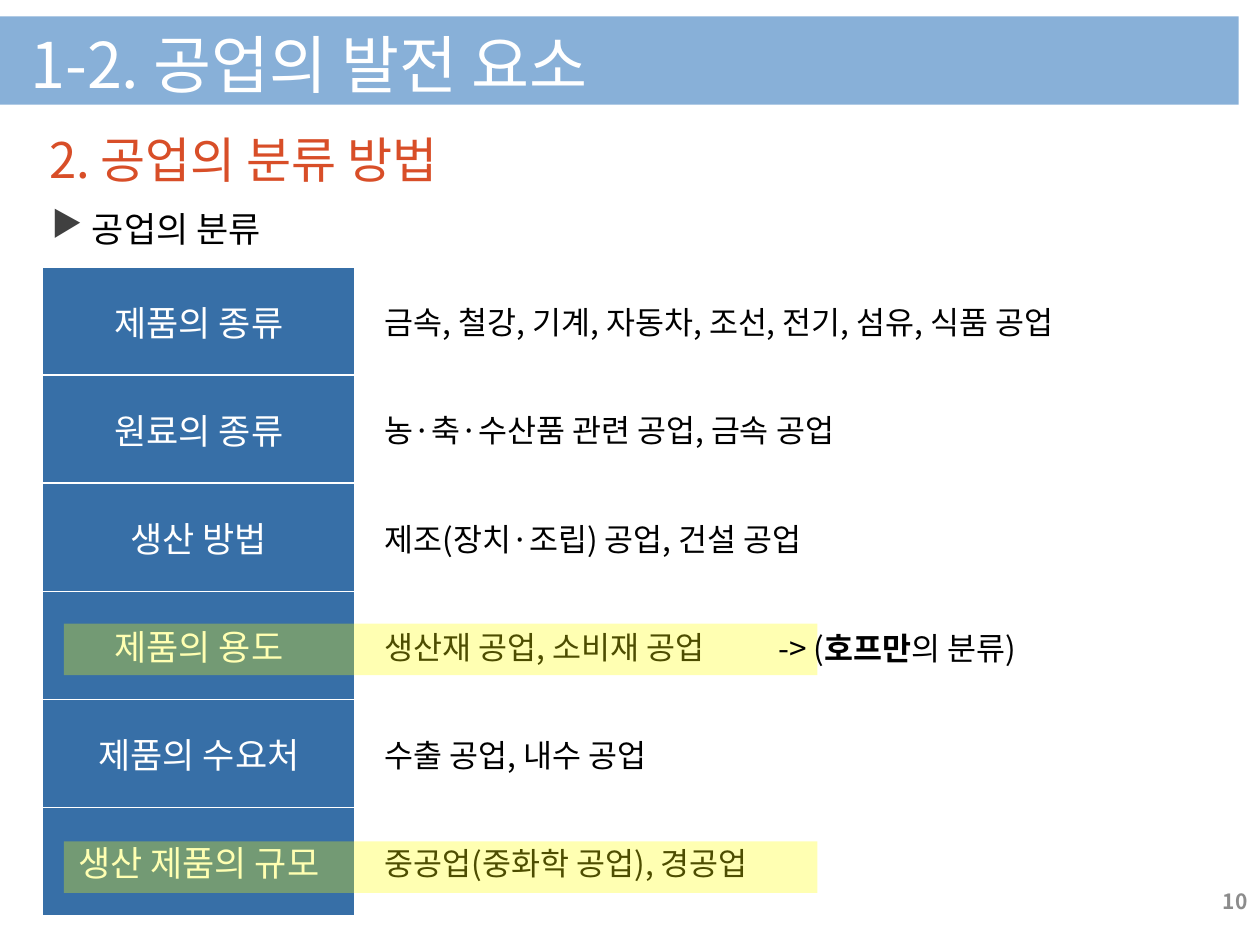
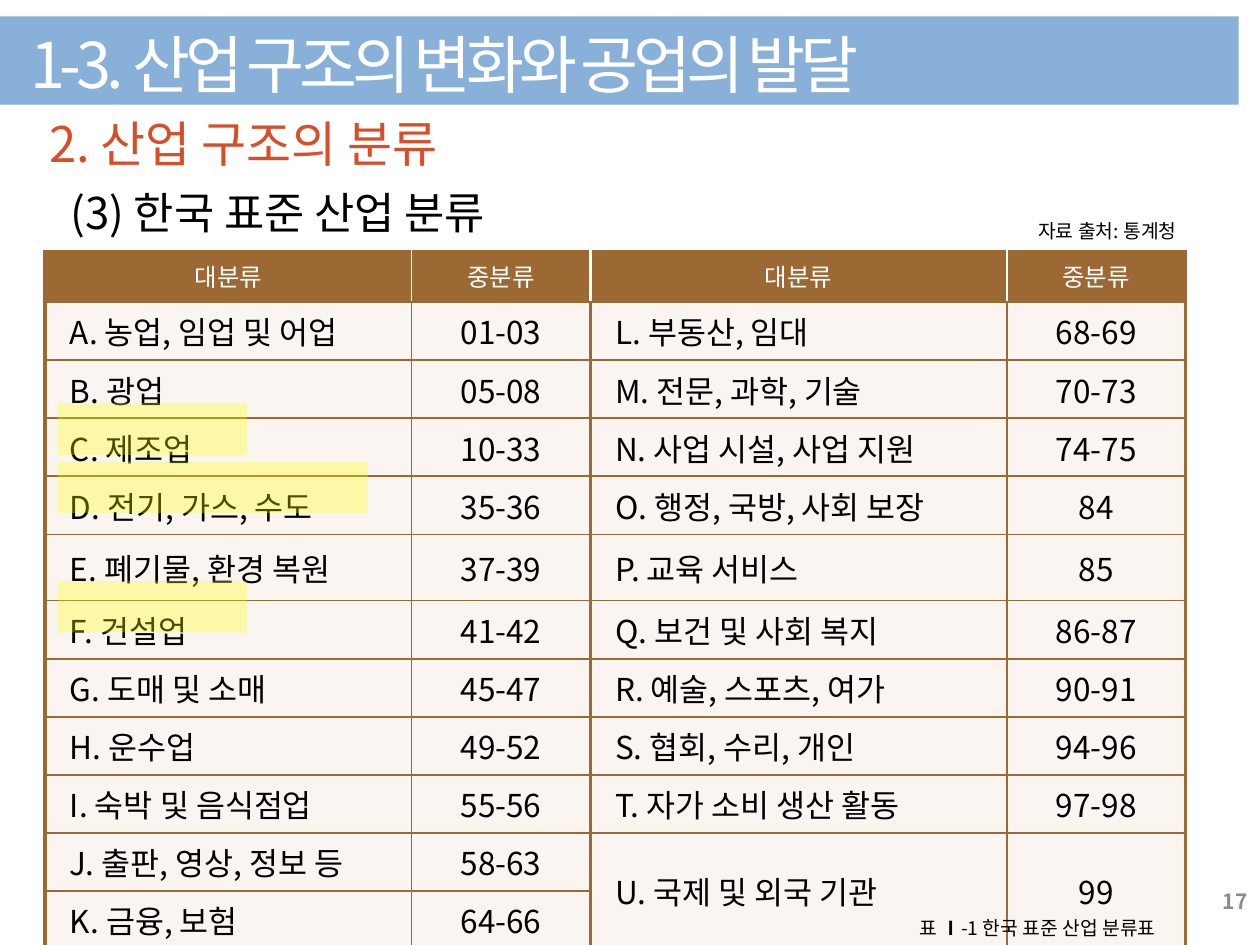
import pptx
import pptx.dml.color
import pptx.enum.shapes
import pptx.enum.text
import pptx.oxml.ns
import pptx.util
from lxml import etree

Cm = pptx.util.Cm
Pt = pptx.util.Pt
RGBColor = pptx.dml.color.RGBColor
ALIGN = pptx.enum.text.PP_ALIGN
ANCHOR = pptx.enum.text.MSO_ANCHOR
qn = pptx.oxml.ns.qn

FONT = "Noto Sans CJK KR"
WHITE = RGBColor(0xFF, 0xFF, 0xFF)
BLACK = RGBColor(0, 0, 0)
BAND_BLUE = RGBColor(0x88, 0xB0, 0xD8)
HEADING_RED = RGBColor(0xD8, 0x4E, 0x28)
LABEL_BLUE = RGBColor(0x37, 0x6F, 0xA7)
BROWN = RGBColor(0x9C, 0x68, 0x34)
CREAM = RGBColor(0xFA, 0xF5, 0xF0)
YELLOW = RGBColor(0xFF, 0xFF, 0)
BULLET_GRAY = RGBColor(0x40, 0x40, 0x40)
NUMBER_GRAY = RGBColor(0x8C, 0x8C, 0x8C)

THIN, THICK = 1, 2.25

KINDS = [
    ("제품의 종류", "금속, 철강, 기계, 자동차, 조선, 전기, 섬유, 식품 공업"),
    ("원료의 종류", "농·축·수산품 관련 공업, 금속 공업"),
    ("생산 방법", "제조(장치·조립) 공업, 건설 공업"),
    ("제품의 용도", "생산재 공업, 소비재 공업"),
    ("제품의 수요처", "수출 공업, 내수 공업"),
    ("생산 제품의 규모", "중공업(중화학 공업), 경공업"),
]

INDUSTRIES = [
    ("대분류", "중분류", "대분류", "중분류"),
    ("A. 농업, 임업 및 어업", "01-03", "L. 부동산, 임대", "68-69"),
    ("B. 광업", "05-08", "M. 전문, 과학, 기술", "70-73"),
    ("C. 제조업", "10-33", "N. 사업 시설, 사업 지원", "74-75"),
    ("D. 전기, 가스, 수도", "35-36", "O. 행정, 국방, 사회 보장", "84"),
    ("E. 폐기물, 환경 복원", "37-39", "P. 교육 서비스", "85"),
    ("F. 건설업", "41-42", "Q. 보건 및 사회 복지", "86-87"),
    ("G. 도매 및 소매", "45-47", "R. 예술, 스포츠, 여가", "90-91"),
    ("H. 운수업", "49-52", "S. 협회, 수리, 개인", "94-96"),
    ("I. 숙박 및 음식점업", "55-56", "T. 자가 소비 생산 활동", "97-98"),
    ("J. 출판, 영상, 정보 등", "58-63", "U. 국제 및 외국 기관", "99"),
    ("K. 금융, 보험", "64-66", "", ""),
]


def style_run(run, size, color, bold=False):
    run.font.size = Pt(size)
    run.font.bold = bold
    run.font.color.rgb = color
    run.font.name = FONT


def style_text(paragraph, text, size, color, bold=False, align=ALIGN.LEFT):
    paragraph.text = text
    paragraph.alignment = align
    for run in paragraph.runs:
        style_run(run, size, color, bold)


def add_text(slide, box, parts, size, color=BLACK, bold=False, align=ALIGN.LEFT,
             wrap=True, anchor=ANCHOR.TOP):
    """Add one line of text; when parts is a tuple, every second part is bold."""
    textbox = slide.shapes.add_textbox(*map(Cm, box))
    frame = textbox.text_frame
    frame.word_wrap = wrap
    frame.vertical_anchor = anchor
    line = frame.paragraphs[0]
    if isinstance(parts, str):
        style_text(line, parts, size, color, bold, align)
    else:
        for position, part in enumerate(parts):
            run = line.add_run()
            run.text = part
            style_run(run, size, color, position % 2 == 1)
    return frame


def add_rectangle(slide, box, color):
    rectangle = slide.shapes.add_shape(
        pptx.enum.shapes.MSO_SHAPE.RECTANGLE, *map(Cm, box))
    rectangle.shadow.inherit = False
    rectangle.fill.solid()
    rectangle.fill.fore_color.rgb = color
    rectangle.line.fill.background()
    return rectangle


def add_highlight(slide, left, top, width):
    marker = add_rectangle(slide, (left, top, width, 1.04), YELLOW)
    color = marker.element.spPr.find(qn("a:solidFill"))[0]
    etree.SubElement(color, qn("a:alpha"), val="30000")


def add_page(deck, title, heading, heading_top, number, spacing=0):
    """Add a slide with its band, title, red heading and page number."""
    slide = deck.slides.add_slide(deck.slide_layouts[5])
    band = add_rectangle(slide, (0, 0.33, 24.97, 1.78), BAND_BLUE).element
    band.getparent().insert(2, band)

    holder = slide.shapes.title
    holder.left, holder.top, holder.width, holder.height = map(
        Cm, (0, 0.03, 20.5, 2.01))
    frame = holder.text_frame
    frame.auto_size = pptx.enum.text.MSO_AUTO_SIZE.NONE
    frame.vertical_anchor = ANCHOR.TOP
    frame.margin_left, frame.margin_top = Cm(0.61), Cm(0.48)
    frame.margin_right = frame.margin_bottom = 0
    line = frame.paragraphs[0]
    style_text(line, title, 36, WHITE)
    if spacing:
        line.runs[0].font._element.set("spc", str(spacing * 100))

    frame = add_text(slide, (0, heading_top, 24.1, 1.19), heading, 28, HEADING_RED)
    frame.margin_left = Cm(0.99)
    frame.margin_top = frame.margin_right = frame.margin_bottom = 0

    add_text(slide, (19.48, 17.65, 5.92, 1.02), number, 12, NUMBER_GRAY, True,
             ALIGN.RIGHT, anchor=ANCHOR.MIDDLE)
    return slide


def add_bullet(paragraph, mark, color):
    properties = paragraph._p.get_or_add_pPr()
    bullet_color = etree.SubElement(properties, qn("a:buClr"))
    etree.SubElement(bullet_color, qn("a:srgbClr"), val=str(color))
    etree.SubElement(properties, qn("a:buChar"), char=mark)


def add_grid(slide, left, top, widths, heights):
    """Add a plain table with columns and rows in centimetres."""
    table = slide.shapes.add_table(
        len(heights), len(widths), Cm(left), Cm(top),
        Cm(sum(widths)), Cm(sum(heights))).table
    table.first_row = table.horz_banding = False
    for column, width in zip(table.columns, widths):
        column.width = Cm(width)
    for row, height in zip(table.rows, heights):
        row.height = Cm(height)
    return table


def fill_cell(cell, text, size, color, fill, inset=None):
    """Write a cell: centred, or left-aligned when an inset is given."""
    cell.fill.solid()
    cell.fill.fore_color.rgb = fill
    cell.vertical_anchor = ANCHOR.MIDDLE
    if inset:
        cell.margin_left = Cm(inset)
    align = ALIGN.LEFT if inset else ALIGN.CENTER
    style_text(cell.text_frame.paragraphs[0], text, size, color, align=align)


def set_borders(cell, **sides):
    """Draw the sides L, R, T and B, each given as (colour, points)."""
    properties = cell._tc.get_or_add_tcPr()
    for position, side in enumerate("LRTB"):
        color, width = sides[side]
        border = etree.Element(qn(f"a:ln{side}"), w=str(Pt(width)))
        solid = etree.SubElement(border, qn("a:solidFill"))
        etree.SubElement(solid, qn("a:srgbClr"), val=str(color))
        properties.insert(position, border)


def add_kinds_table(slide):
    table = add_grid(slide, 0.86, 5.38, [6.3, 16.89], [2.18] * len(KINDS))
    for row, (basis, examples) in enumerate(KINDS):
        fill_cell(table.cell(row, 0), basis, 20, WHITE, LABEL_BLUE)
        fill_cell(table.cell(row, 1), examples, 18, BLACK, WHITE, inset=0.6)
    for cell in table.iter_cells():
        set_borders(cell, **dict.fromkeys("LRTB", (WHITE, THIN)))


def add_industries_table(slide):
    heights = [1.01] + [1.17] * 4 + [1.34] + [1.17] * 6
    table = add_grid(slide, 0.91, 5.08, [7.39, 3.6, 8.4, 3.6], heights)
    for column in (2, 3):
        table.cell(10, column).merge(table.cell(11, column))
    for row, texts in enumerate(INDUSTRIES):
        for column, text in enumerate(texts):
            cell = table.cell(row, column)
            is_header, is_name = row == 0, column % 2 == 0
            if is_header:
                fill_cell(cell, text, 14, WHITE, BROWN)
                cell.vertical_anchor = ANCHOR.TOP
            else:
                fill_cell(cell, text, 18, BLACK, CREAM, 0.5 if is_name else None)
            inner = WHITE if is_header else BROWN
            is_last = row + cell.span_height == len(INDUSTRIES)
            set_borders(
                cell,
                L=(BROWN if column == 0 else inner, THICK if is_name else THIN),
                R=(BROWN if column == 3 else inner, THIN if is_name else THICK),
                T=(BROWN, THICK if is_header else THIN),
                B=(BROWN, THICK if is_last else THIN))


def build_kinds_slide(deck):
    slide = add_page(deck, "1-2. 공업의 발전 요소", "2. 공업의 분류 방법", 2.62, "10")
    topic = add_text(slide, (0.79, 4.06, 5.26, 1.12), " 공업의 분류", 20, wrap=False)
    add_bullet(topic.paragraphs[0], "▶", BULLET_GRAY)
    add_kinds_table(slide)
    for top in (16.96, 12.57):
        add_highlight(slide, 1.29, top, 15.19)
    add_text(slide, (15.44, 12.55, 6.53, 1.04), ("-> (", "호프만", "의 분류)"), 18)


def build_industries_slide(deck):
    slide = add_page(deck, "1-3. 산업 구조의 변화와 공업의 발달",
                     "2. 산업 구조의 분류", 2.29, "17", spacing=-3)
    add_text(slide, (1.17, 3.63, 22.81, 1.32), "(3) 한국 표준 산업 분류", 25)
    add_industries_table(slide)
    add_text(slide, (20.68, 4.29, 3.66, 0.74), "자료 출처: 통계청", 11, wrap=False)
    add_text(slide, (18.29, 18.34, 5.97, 0.74),
             ("표 ", "Ⅰ", "-1 한국 표준 산업 분류표"), 11, wrap=False)
    for top, width in ((8.13, 3.81), (9.3, 6.25), (11.71, 3.81)):
        add_highlight(slide, 1.17, top, width)


def main():
    deck = pptx.Presentation()
    deck.slide_width, deck.slide_height = Cm(25.4), Cm(19.05)
    build_kinds_slide(deck)
    build_industries_slide(deck)
    deck.save("out.pptx")


if __name__ == "__main__":
    main()
